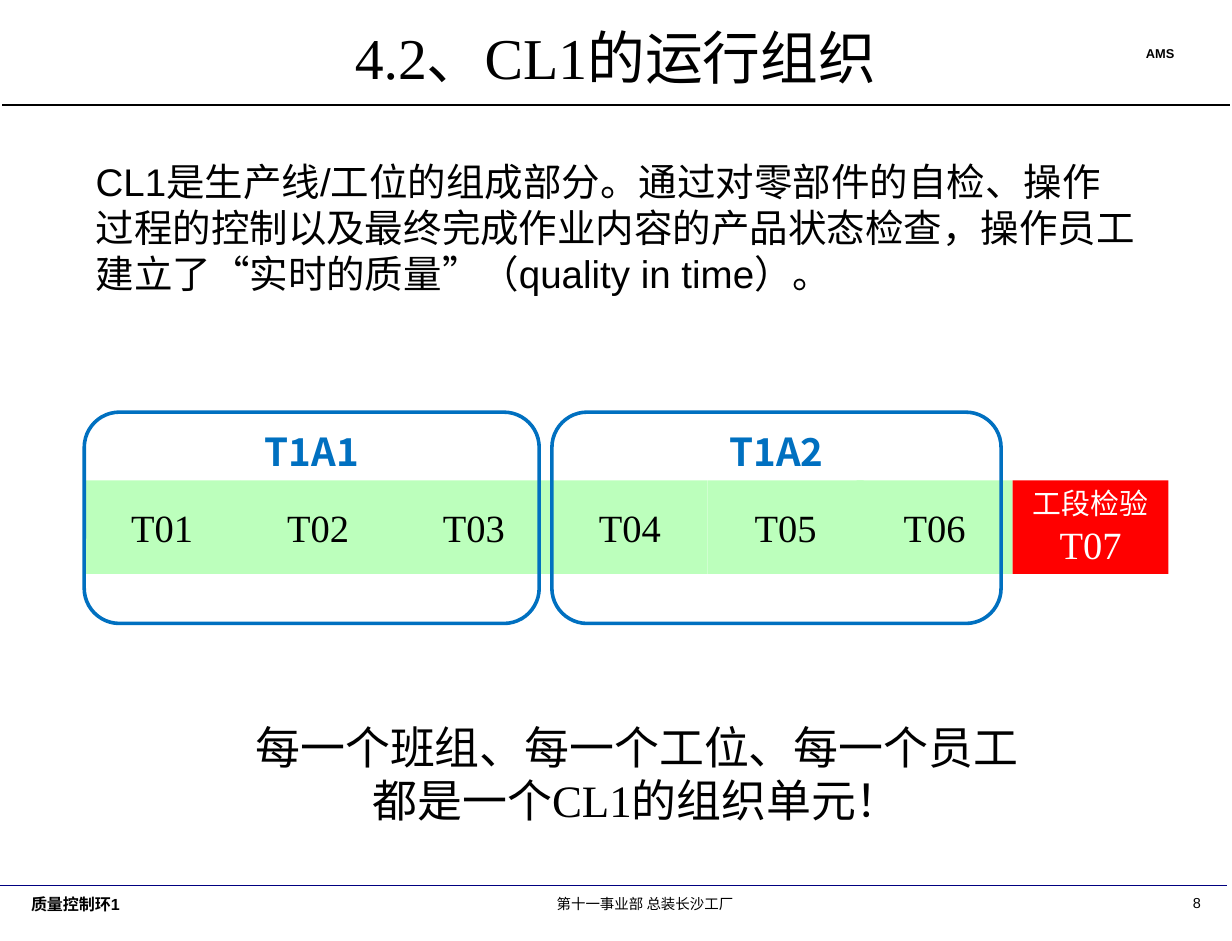
from pptx import Presentation
from pptx.dml.color import RGBColor
from pptx.enum.shapes import MSO_CONNECTOR as Conn, MSO_SHAPE as Kind
from pptx.enum.text import MSO_ANCHOR as Anchor, PP_ALIGN as Align
from pptx.oxml.ns import qn
from pptx.util import Inches, Pt
from lxml import etree

SERIF, SANS, CJK = "Times New Roman", "Arial", "Noto Sans CJK KR"
BLACK, WHITE, GREEN, RED, BLUE, NAVY = (
    "000000", "FFFFFF", "BCFFBC", "FF0000", "0070C0", "000080")

TITLE = "4.2、CL1的运行组织"
# text, box (left, top, width, height), alignment, font format
TEXTS = [
    ("CL1是生产线/工位的组成部分。通过对零部件的自检、操作过程的控制以及最终完成作业内容的产品状态检查，"
     "操作员工建立了“实时的质量”（quality in time）。",
     (0.73, 1.32, 9.2, 1.33), Align.LEFT, dict(name=SANS, size=24)),
    ("每一个班组、每一个工位、每一个员工都是一个CL1的组织单元！",
     (2.06, 6.18, 6.91, 1.04), Align.CENTER, dict(name=SERIF, size=28)),
    ("AMS", (9.6, 0.35, 0.67, 0.23), Align.RIGHT,
     dict(name=SANS, size=8, bold=True)),
    ("质量控制环1", (0.17, 7.7, 1.75, 0.4), Align.LEFT,
     dict(name=SANS, size=10, bold=True)),
    ("第十一事业部 总装长沙工厂", (4, 7.7, 3.17, 0.4), Align.CENTER,
     dict(name=SANS, size=9)),
    ("8", (10.11, 7.69, 0.39, 0.25), Align.RIGHT, dict(name=SANS, size=9)),
]
RULES = [(0.02, 10.65, 0.91, BLACK, 0.75), (0, 10.63, 7.67, NAVY, 1)]
STATIONS = ["T01", "T02", "T03", "T04", "T05", "T06"]
CHECK = [("工段检验", 18), ("T07", 24)]
TEAMS = [("T1A1", 0.73, 3.94), ("T1A2", 4.78, 3.89)]
CELL_W, CELL_H, ROW_X, ROW_Y = 1.35, 0.81, 0.73, 4.16
OVERLAP = 0.06  # T06 starts slightly before T05 ends
TEAM_Y, TEAM_H = 3.57, 1.83


def rgb(code):
    return RGBColor.from_string(code)


def write(shape, runs, align, color=BLACK, anchor=Anchor.TOP, **look):
    """Fill the shape with one paragraph of (text, size) runs."""
    frame = shape.text_frame
    frame.word_wrap = True
    frame.vertical_anchor = anchor
    para = frame.paragraphs[0]
    para.alignment = align
    for text, size in runs:
        run = para.add_run()
        run.text = text
        run.font.size = Pt(size)
        run.font.color.rgb = rgb(color)
        for key, value in look.items():
            setattr(run.font, key, value)


def block(kind, box, fill=None, line=None):
    shape = slide.shapes.add_shape(kind, *map(Inches, box))
    shape.shadow.inherit = False
    if fill:
        shape.fill.solid()
        shape.fill.fore_color.rgb = rgb(fill)
    else:
        shape.fill.background()
    if line:
        shape.line.color.rgb = rgb(line)
        shape.line.width = Pt(2.25)
    else:
        shape.line.fill.background()
    return shape


deck = Presentation()
deck.slide_width, deck.slide_height = Inches(10.67), Inches(8.15)
slide = deck.slides.add_slide(deck.slide_layouts[5])

title = slide.shapes.title
title.left, title.top, title.width, title.height = map(
    Inches, (0.73, 0.07, 9.2, 0.83))
write(title, [(TITLE, 36)], Align.CENTER, anchor=Anchor.MIDDLE, name=SERIF)

for left, right, y, color, width in RULES:
    rule = slide.shapes.add_connector(
        Conn.STRAIGHT, Inches(left), Inches(y), Inches(right), Inches(y))
    rule.line.color.rgb = rgb(color)
    rule.line.width = Pt(width)
    etree.SubElement(rule._element.spPr, qn("a:effectLst"))

for text, box, align, look in TEXTS:
    look = dict(look)
    area = slide.shapes.add_textbox(*map(Inches, box))
    write(area, [(text, look.pop("size"))], align, **look)

cells = [([(name, 24)], GREEN, BLACK, Anchor.MIDDLE) for name in STATIONS]
cells.append((CHECK, RED, WHITE, Anchor.TOP))
for i, (runs, fill, color, anchor) in enumerate(cells):
    x = ROW_X + i * CELL_W - (OVERLAP if i >= 5 else 0)
    cell = block(Kind.RECTANGLE, (x, ROW_Y, CELL_W, CELL_H), fill=fill)
    write(cell, runs, Align.CENTER, color, anchor, name=SERIF)

for name, x, width in TEAMS:
    team = block(Kind.ROUNDED_RECTANGLE, (x, TEAM_Y, width, TEAM_H), line=BLUE)
    write(team, [(name, 24)], Align.CENTER, BLUE, name=CJK, bold=True)

deck.save("out.pptx")
